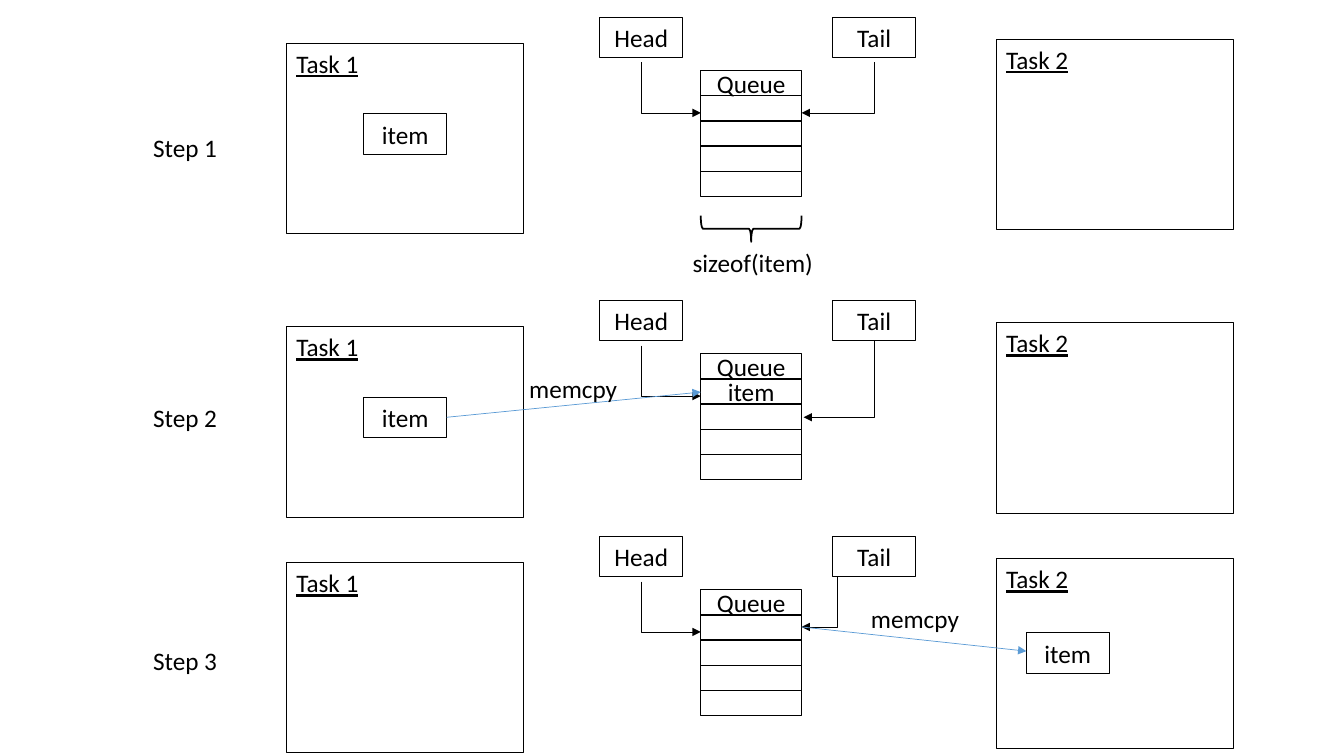
from lxml import etree
from pptx import Presentation
from pptx import util as u
from pptx.dml.color import RGBColor
from pptx.enum import shapes, text
from pptx.oxml import ns

COLORS = {"ink": "000000", "copy": "5B9BD5"}
FONT = {"name": "Calibri", "size": u.Pt(18)}

# Columns of the diagram, and rows measured from the top of each step (inches)
COLUMNS = {"step": 1.42, "task1": 2.84, "item1": 3.61, "head": 5.95,
           "queue": 6.95, "tail": 8.26, "task2": 9.88, "item2": 10.18}
ROWS = {"pointer": 0, "task2": 0.22, "task1": 0.26, "queue": 0.53, "item": 0.96}
TASK = (2.35, 1.89)
LABEL = (0.82, 0.4)
CELL = (1, 0.25)
CELL_COUNT = 5
QUEUE_RIGHT = COLUMNS["queue"] + CELL[0]
HEAD_X = COLUMNS["head"] + LABEL[0] / 2
TAIL_X = COLUMNS["tail"] + LABEL[0] / 2

STEPS = [
    {"name": "Step 1", "top": 0.17, "label": 1.26, "item": "item1", "stored": ""},
    {"name": "Step 2", "top": 2.98, "label": 3.94, "item": "item1", "stored": "item"},
    {"name": "Step 3", "top": 5.32, "label": 6.35, "item": "item2", "stored": ""},
]


def inches(*lengths):
    return [u.Inches(length) for length in lengths]


def color(name):
    return RGBColor.from_string(COLORS[name])


def add_xml(parent, tag, position=None, **attributes):
    element = etree.Element(ns.qn(tag), attributes)
    parent.insert(len(parent) if position is None else position, element)
    return element


def write(shape, words, frame_format, align=text.PP_ALIGN.LEFT, underline=None):
    for name, value in frame_format.items():
        setattr(shape.text_frame, name, value)
    paragraph = shape.text_frame.paragraphs[0]
    paragraph.alignment = align
    run = paragraph.add_run()
    run.text = words
    for name, value in {**FONT, "underline": underline}.items():
        setattr(run.font, name, value)
    run.font.color.rgb = color("ink")
    return run


def add_outline(slide, kind, left, top, size, weight):
    shape = slide.shapes.add_shape(kind, *inches(left, top, *size))
    shape.shadow.inherit = False
    shape.fill.background()
    shape.line.color.rgb = color("ink")
    shape.line.width = u.Pt(weight)
    return shape


def add_box(slide, words, left, top, size=LABEL, **text_format):
    shape = add_outline(slide, shapes.MSO_SHAPE.RECTANGLE, left, top, size, 0.75)
    frame = {"word_wrap": False, "vertical_anchor": text.MSO_ANCHOR.TOP}
    write(shape, words, frame, **text_format)


def add_caption(slide, words, left, top, width):
    box = slide.shapes.add_textbox(*inches(left, top, width, LABEL[1]))
    write(box, words, {"word_wrap": False,
                       "auto_size": text.MSO_AUTO_SIZE.SHAPE_TO_FIT_TEXT})


def add_queue(slide, top, stored):
    frame = {"vertical_anchor": text.MSO_ANCHOR.MIDDLE}
    for index in range(CELL_COUNT):
        cell = add_outline(slide, shapes.MSO_SHAPE.RECTANGLE, COLUMNS["queue"],
                           top + index * CELL[1], CELL, 1)
        words = {0: "Queue", 1: stored}.get(index)
        if words:
            run = write(cell, words, frame, text.PP_ALIGN.CENTER)
            if index == 0:  # the title letters have a thin outline
                line = add_xml(run.font._element, "a:ln", 0, w=str(u.Pt(0.75)))
                fill = add_xml(line, "a:solidFill")
                add_xml(fill, "a:srgbClr", val=COLORS["ink"])


def add_arrow(slide, start, end, ink="ink", kind=shapes.MSO_CONNECTOR.STRAIGHT):
    arrow = slide.shapes.add_connector(kind, *inches(*start, *end))
    arrow.line.color.rgb = color(ink)
    arrow.line.width = u.Pt(0.5)
    add_xml(arrow.line._get_or_add_ln(), "a:tailEnd", type="triangle")
    add_xml(arrow._element.spPr, "a:effectLst")
    return arrow


def add_corner_arrow(slide, start, end):
    """Go down first, then sideways: a single bend turned by a quarter."""
    middle_x, middle_y = (start[0] + end[0]) / 2, (start[1] + end[1]) / 2
    side = 1 if end[0] > start[0] else -1
    half_drop = side * (end[1] - start[1]) / 2
    half_run = abs(end[0] - start[0]) / 2
    arrow = add_arrow(slide, (middle_x + half_drop, middle_y - half_run),
                      (middle_x - half_drop, middle_y + half_run),
                      kind=shapes.MSO_CONNECTOR.ELBOW)
    properties = arrow._element.spPr
    properties.find(ns.qn("a:prstGeom")).set("prst", "bentConnector2")
    degrees = 270 if side > 0 else 90
    properties.find(ns.qn("a:xfrm")).set("rot", str(degrees * 60000))


def add_step(slide, step):
    top = step["top"]
    add_queue(slide, top + ROWS["queue"], step["stored"])
    for column, words in (("task1", "Task 1"), ("task2", "Task 2")):
        add_box(slide, words, COLUMNS[column], top + ROWS[column], TASK, underline=True)
    for column, words, row in ((step["item"], "item", "item"),
                               ("head", "Head", "pointer"), ("tail", "Tail", "pointer")):
        add_box(slide, words, COLUMNS[column], top + ROWS[row],
                align=text.PP_ALIGN.CENTER)
    add_corner_arrow(slide, (HEAD_X, top + 0.45), (COLUMNS["queue"], top + 0.95))
    add_caption(slide, step["name"], COLUMNS["step"], step["label"], 0.84)


def main():
    presentation = Presentation()
    presentation.slide_width, presentation.slide_height = inches(13.33, 7.5)
    slide = presentation.slides.add_slide(presentation.slide_layouts[6])
    for step in STEPS:
        add_step(slide, step)
    first, second, third = (step["top"] for step in STEPS)

    # Step 1: both pointers meet at the first cell, whose width is marked
    add_corner_arrow(slide, (TAIL_X, first + 0.45), (QUEUE_RIGHT, first + 0.95))
    brace = add_outline(slide, shapes.MSO_SHAPE.RIGHT_BRACE, 7.32, 1.77, (0.26, 1), 1.25)
    brace.rotation = 90
    add_caption(slide, "sizeof(item)", 6.77, 2.4, 1.41)

    # Step 2: the item is copied into the queue and the tail moves on
    add_corner_arrow(slide, (TAIL_X, second + LABEL[1]), (QUEUE_RIGHT + 0.02, second + 1.16))
    add_arrow(slide, (COLUMNS["item1"] + LABEL[0], second + 1.16),
              (COLUMNS["queue"], second + 0.91), "copy")
    add_caption(slide, "memcpy", 5.15, second + 0.67, 1.08)

    # Step 3: the item is copied out of the queue
    cell_edge = (QUEUE_RIGHT, third + 0.9)
    add_arrow(slide, (TAIL_X, third + LABEL[1]), cell_edge,
              kind=shapes.MSO_CONNECTOR.ELBOW)
    add_arrow(slide, cell_edge, (COLUMNS["item2"], third + 1.14), "copy")
    add_caption(slide, "memcpy", 8.54, third + 0.62, 1.08)

    presentation.save("out.pptx")


main()
